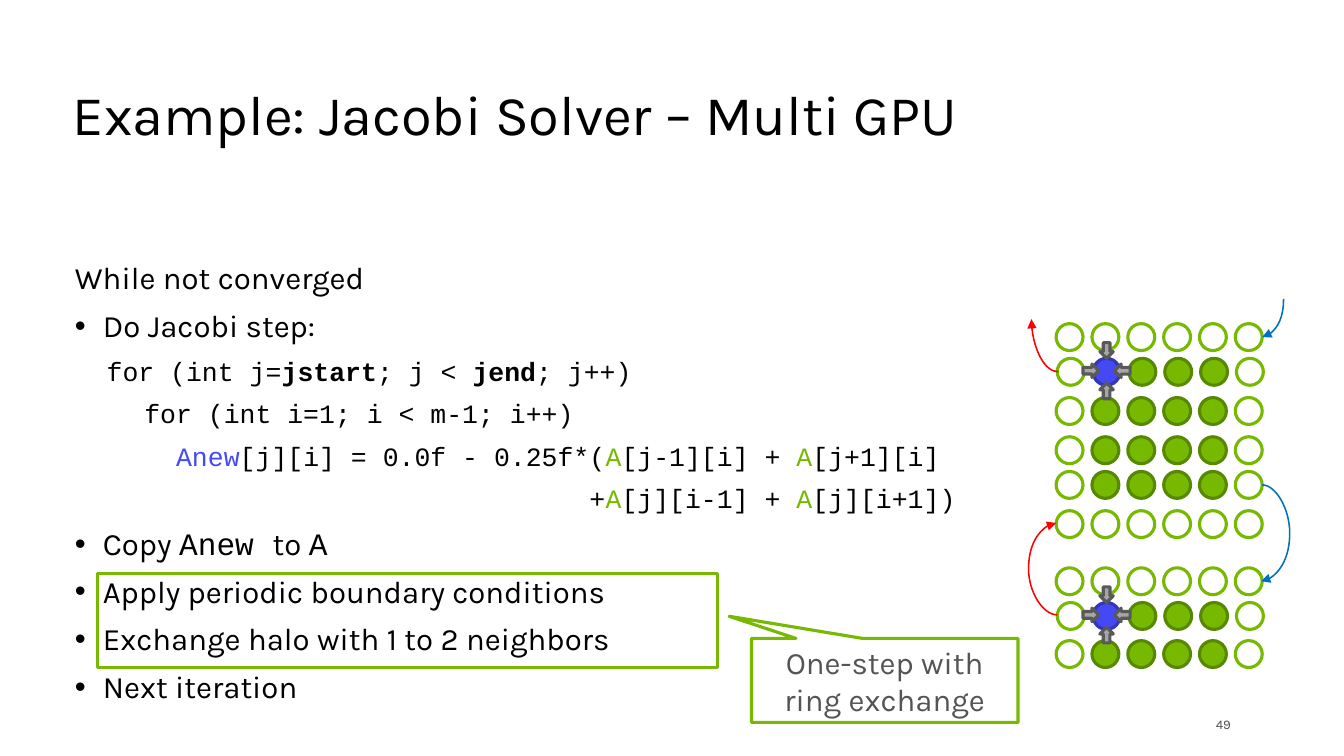
from lxml.etree import SubElement
from pptx import Presentation
from pptx.dml.color import RGBColor
from pptx.enum.shapes import MSO_CONNECTOR, MSO_SHAPE
from pptx.enum.text import MSO_ANCHOR, PP_ALIGN
from pptx.oxml.ns import qn
from pptx.util import Inches, Pt

COLORS = {
    "black": "000000", "white": "FFFFFF", "gray": "545454", "number": "505050",
    "green": "76B900", "dark_green": "578900", "blue": "4549F5",
    "dark_blue": "3336B5", "arrow": "A6A6A6", "arrow_edge": "595959",
    "red_link": "FF0000", "blue_link": "0070C0",
}
POINTS = {
    "o": ("white", "green"),
    "g": ("green", "dark_green"),
    "b": ("blue", "dark_blue"),
}
STYLES = {
    "text": {"name": "Karla", "size": Pt(20)},
    "mono": {"name": "Courier New", "size": Pt(20)},
    "code": {"name": "Courier New", "size": Pt(17)},
    "bold": {"name": "Courier New", "size": Pt(17), "bold": True},
    "title": {"name": "Karla", "size": Pt(36)},
    "number": {"name": "Karla", "size": Pt(8.5)},
}
INDENTS = {"plain": (0, 0), "bullet": (0.25, -0.25), "inner": (0.62, 0)}
HALO, EDGE, INNER = "oooooo", "obgggo", "oggggo"
PITCH, DIAMETER = 0.32, 0.24

ALGORITHM = [
    ("plain", [("While not converged", "text")]),
    ("bullet", [("Do Jacobi step:", "text")]),
    ("plain", [("  for (int j=", "code"), ("jstart", "bold"), ("; j < ", "code"),
               ("jend", "bold"), ("; j++)", "code")]),
    ("inner", [("for (int i=1; i < m-1; i++)", "code")]),
    ("inner", [("  ", "code"), ("Anew", "code", "blue"),
               ("[j][i] = 0.0f - 0.25f*(", "code"), ("A", "code", "green"),
               ("[j-1][i] + ", "code"), ("A", "code", "green"),
               ("[j+1][i]", "code")]),
    ("inner", [("                            +", "code"), ("A", "code", "green"),
               ("[j][i-1] + ", "code"), ("A", "code", "green"),
               ("[j][i+1])", "code")]),
    ("bullet", [("Copy ", "text"), ("Anew ", "mono"), ("to ", "text"), ("A", "mono")]),
    ("bullet", [("Apply periodic boundary conditions", "text")]),
    ("bullet", [("Exchange halo with 1 to 2 neighbors", "text")]),
    ("bullet", [("Next iteration", "text")]),
]


def rgb(name):
    """Return the named colour."""
    return RGBColor.from_string(COLORS[name])


def apply(target, values):
    """Set each attribute of the target from a dict."""
    for name, value in values.items():
        setattr(target, name, value)


def add_run(paragraph, text, style, color="black"):
    """Append one styled run to a paragraph."""
    run = paragraph.add_run()
    run.text = text
    apply(run.font, STYLES[style])
    run.font.color.rgb = rgb(color)


def add_text_box(slide, box, **frame_format):
    """Add a wrapping text box and return its frame."""
    frame = slide.shapes.add_textbox(*map(Inches, box)).text_frame
    apply(frame, {"word_wrap": True, **frame_format})
    return frame


def add_outlined(slide, kind, box, fill, line):
    """Add a preset shape with a two-point outline and an optional fill."""
    shape = slide.shapes.add_shape(kind, *map(Inches, box))
    shape.shadow.inherit = False
    if fill:
        shape.fill.solid()
        shape.fill.fore_color.rgb = rgb(fill)
    else:
        shape.fill.background()
    shape.line.color.rgb = rgb(line)
    shape.line.width = Pt(2)
    return shape


def add_title(slide, box):
    """Place the slide title."""
    frame = add_text_box(slide, box, vertical_anchor=MSO_ANCHOR.BOTTOM)
    paragraph = frame.paragraphs[0]
    paragraph.line_spacing = 0.9
    add_run(paragraph, "Example: Jacobi Solver – Multi GPU", "title")


def add_algorithm(slide, box):
    """Place the steps of the solver with their code."""
    frame = add_text_box(slide, box)
    for index, (kind, runs) in enumerate(ALGORITHM):
        paragraph = frame.add_paragraph() if index else frame.paragraphs[0]
        apply(paragraph, {"line_spacing": 0.9, "space_after": Pt(3),
                          "space_before": Pt(6 if index else 0)})
        properties = paragraph._p.get_or_add_pPr()
        margin, indent = INDENTS[kind]
        properties.set("marL", str(Inches(margin)))
        properties.set("indent", str(Inches(indent)))
        if kind == "bullet":
            SubElement(properties, qn("a:buFont"), typeface="Arial")
            SubElement(properties, qn("a:buChar"), char="•")
        for run in runs:
            add_run(paragraph, *run)


def add_callout(slide, box):
    """Place the callout that points at the highlighted steps."""
    callout = add_outlined(slide, MSO_SHAPE.RECTANGULAR_CALLOUT, box, "white", "green")
    callout.adjustments[0], callout.adjustments[1] = -0.584, -0.764
    frame = callout.text_frame
    apply(frame, {"word_wrap": True, "vertical_anchor": MSO_ANCHOR.MIDDLE})
    frame.paragraphs[0].alignment = PP_ALIGN.CENTER
    add_run(frame.paragraphs[0], "One-step with ring exchange", "text", "gray")


def add_stencil(slide, center_x, center_y):
    """Place four arrows that point at the updated grid point."""
    width, height = 0.14, 0.12
    for dx, dy, rotation in ((-0.14, 0, 0), (0, -0.18, 90), (0, 0.18, 270), (0.14, 0, 180)):
        box = (center_x + dx - width / 2, center_y + dy - height / 2, width, height)
        arrow = add_outlined(slide, MSO_SHAPE.RIGHT_ARROW, box, "arrow", "arrow_edge")
        arrow.rotation = rotation


def add_domain(slide, left, rows):
    """Place the grid points of one domain, then its stencil."""
    for top, pattern in rows:
        shift = 0.01 if pattern == EDGE else 0
        for column, point in enumerate(pattern):
            box = (left + column * PITCH + shift, top, DIAMETER, DIAMETER)
            add_outlined(slide, MSO_SHAPE.OVAL, box, *POINTS[point])
    edge_top = next(top for top, pattern in rows if pattern == EDGE)
    add_stencil(slide, left + PITCH + 0.13, edge_top + 0.11)


def add_exchange(slide, start, end, color, arrow_end="tailEnd", bulge=None):
    """Draw a curved halo transfer, as a quarter turn unless a bulge is given."""
    connector = slide.shapes.add_connector(
        MSO_CONNECTOR.CURVE, *map(Inches, (*start, *end)))
    connector.line.color.rgb = rgb(color)
    connector.line.width = Pt(1)
    properties = connector._element.spPr
    geometry = properties.find(qn("a:prstGeom"))
    if bulge is None:
        geometry.set("prst", "curvedConnector2")
    else:
        ratio = bulge / (end[0] - start[0])
        SubElement(geometry.find(qn("a:avLst")), qn("a:gd"), name="adj1",
                   fmla=f"val {round(ratio * 100000)}")
    SubElement(properties.find(qn("a:ln")), qn(f"a:{arrow_end}"), type="triangle")
    SubElement(properties, qn("a:effectLst"))


def add_page_number(slide, box):
    """Place the page number."""
    frame = add_text_box(slide, box, vertical_anchor=MSO_ANCHOR.MIDDLE,
                         margin_left=0, margin_right=0, margin_top=0, margin_bottom=0)
    frame.paragraphs[0].alignment = PP_ALIGN.RIGHT
    add_run(frame.paragraphs[0], "49", "number", "number")


def main():
    """Build and save the slide."""
    presentation = Presentation()
    apply(presentation, {"slide_width": Inches(12), "slide_height": Inches(6.75)})
    slide = presentation.slides.add_slide(presentation.slide_layouts[6])
    add_page_number(slide, (10.68, 6.38, 0.31, 0.18))
    add_title(slide, (0.55, 0.72, 10.91, 0.65))
    add_algorithm(slide, (0.57, 2.3, 10.88, 4.07))
    add_callout(slide, (6.71, 5.7, 2.38, 0.75))
    add_outlined(slide, MSO_SHAPE.RECTANGLE, (0.87, 5.12, 5.54, 0.84), None, "green")
    add_domain(slide, 9.43, [(2.89, HALO), (3.2, EDGE), (3.55, INNER),
                             (3.9, INNER), (4.21, INNER), (4.56, HALO)])
    add_domain(slide, 9.43, [(5.07, HALO), (5.38, EDGE), (5.72, INNER)])
    add_exchange(slide, (9.44, 5.49), (9.43, 4.67), "red_link", bulge=-0.26)
    add_exchange(slide, (11.27, 4.33), (11.26, 5.19), "blue_link", bulge=0.25)
    add_exchange(slide, (9.45, 3.32), (9.21, 2.85), "red_link")
    add_exchange(slide, (11.27, 3.01), (11.46, 2.67), "blue_link", arrow_end="headEnd")
    presentation.save("out.pptx")


if __name__ == "__main__":
    main()
